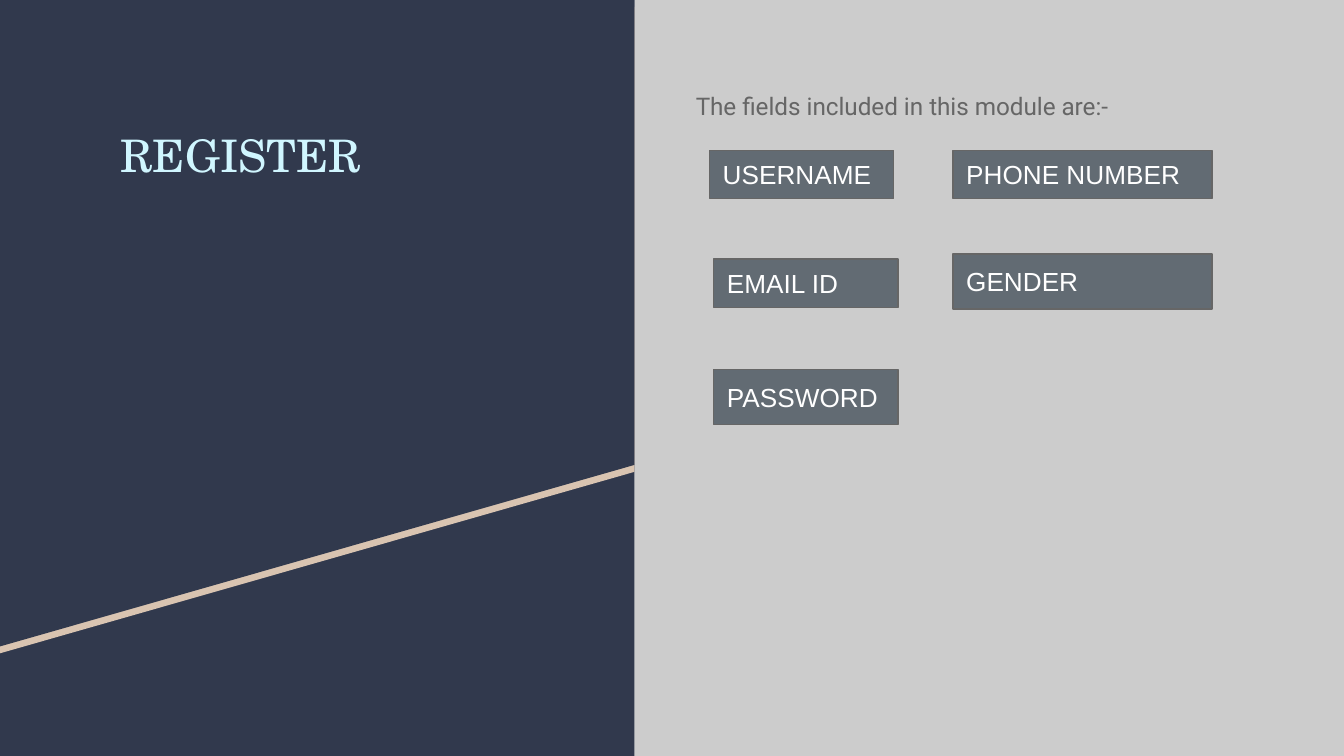
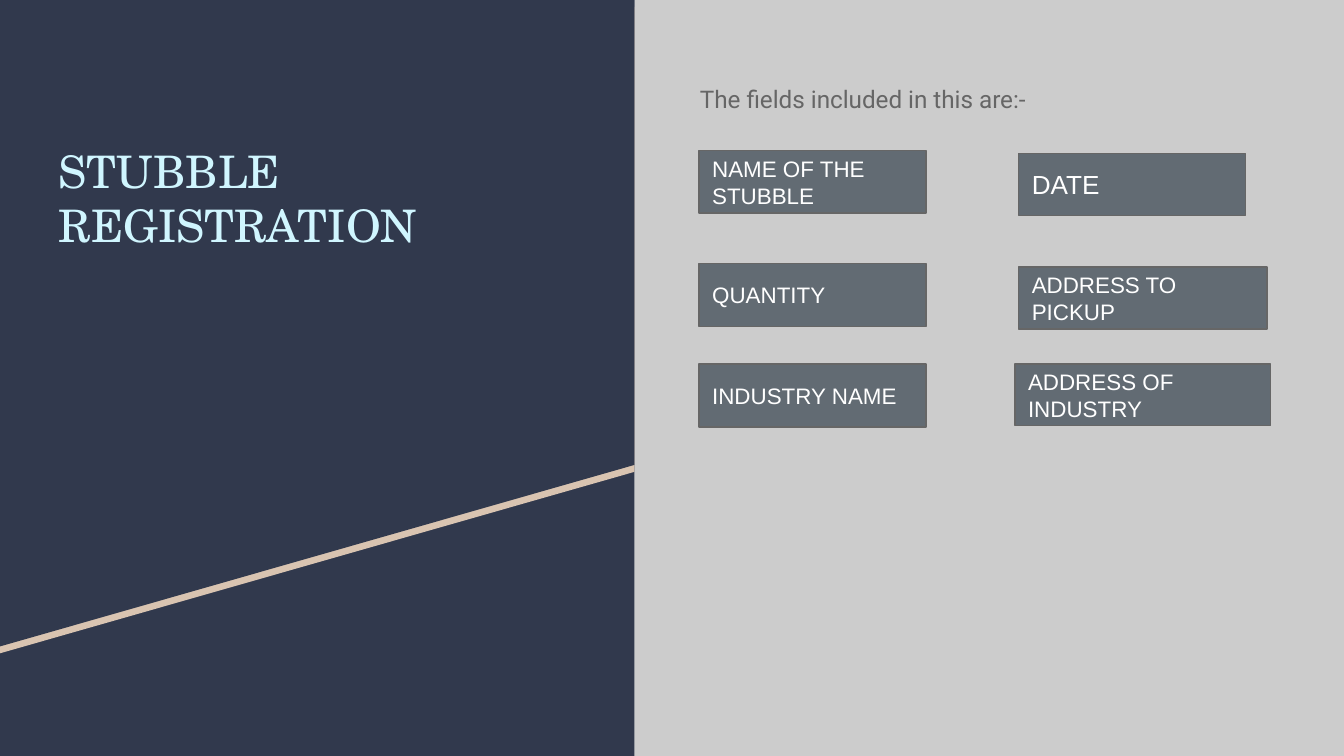
from pptx import Presentation
from pptx.dml.color import RGBColor
from pptx.enum.shapes import MSO_SHAPE
from pptx.enum.text import MSO_ANCHOR, PP_ALIGN
from pptx.util import Cm, Pt

NAVY = RGBColor(0x31, 0x39, 0x4D)
SAND = RGBColor(0xD9, 0xC4, 0xB1)
PALE = RGBColor(0xCC, 0xCC, 0xCC)
ICE = RGBColor(0xD0, 0xF6, 0xFF)
SLATE = RGBColor(0x62, 0x6B, 0x73)
GREY = RGBColor(0x66, 0x66, 0x66)
WHITE = RGBColor(0xFF, 0xFF, 0xFF)

WIDE, HIGH = 25.4, 14.29
PANEL = (0, 0, 11.99, HIGH)
TITLE = (0.86, 1.4, 10.29, 6.96)
INSET = 0.25


def paint(shape, color):
    shape.shadow.inherit = False
    shape.fill.solid()
    shape.fill.fore_color.rgb = color
    shape.line.fill.background()


def write(shape, text, font, size, color, left=INSET, top=INSET):
    frame = shape.text_frame
    frame.word_wrap = True
    frame.margin_left, frame.margin_top = Cm(left), Cm(top)
    frame.margin_right = frame.margin_bottom = Cm(INSET)
    frame.text = text
    para = frame.paragraphs[0]
    para.alignment = PP_ALIGN.LEFT
    face = para.runs[0].font
    face.name, face.size = font, Pt(size)
    face.color.rgb = color
    return para


def add_text(slide, box, *style, **inset):
    return write(slide.shapes.add_textbox(*map(Cm, box)), *style, **inset)


def add_wedge(slide, box, drop, color):
    left, top, width, _ = box
    top += drop
    right = left + width
    edge = [(right, top), (right, top + 8.79), (left, top + 12.22)]
    form = slide.shapes.build_freeform(Cm(left), Cm(top))
    form.add_line_segments([(Cm(x), Cm(y)) for x, y in edge], close=True)
    paint(form.convert_to_shape(), color)


def add_panel(slide, box):
    base = slide.shapes.add_shape(MSO_SHAPE.RECTANGLE, *map(Cm, box))
    paint(base, NAVY)
    add_wedge(slide, box, 0.13, SAND)
    add_wedge(slide, box, 0, NAVY)


def add_field(slide, box, text, size):
    field = slide.shapes.add_shape(MSO_SHAPE.RECTANGLE, *map(Cm, box))
    paint(field, SLATE)
    field.line.color.rgb = GREY
    field.line.width = Pt(0.75)
    field.text_frame.vertical_anchor = MSO_ANCHOR.MIDDLE
    write(field, text, "Arial", size, WHITE)


def add_body(slide, box, intro, fields):
    para = add_text(slide, box, intro, "Roboto", 13, GREY)
    para.line_spacing = 1.15
    for text, size, x, y, width, height in fields:
        place = (box[0] + x, box[1] + y, width, height)
        add_field(slide, place, text, size)


def add_module(deck, title, left, top, box, intro, fields):
    slide = deck.slides.add_slide(deck.slide_layouts[6])
    slide.background.fill.solid()
    slide.background.fill.fore_color.rgb = PALE
    add_panel(slide, PANEL)
    add_text(slide, TITLE, title, "TeX Gyre Schola", 24, ICE, left=left, top=top)
    add_body(slide, box, intro, fields)


def main():
    deck = Presentation()
    deck.slide_width, deck.slide_height = Cm(WIDE), Cm(HIGH)
    add_module(
        deck, "REGISTER", 1.42, 1.27, (12.9, 1.4, 11.58, 11.38),
        "The fields included in this module are:-",
        [
            ("USERNAME", 14, 0.51, 1.44, 3.48, 0.91),
            ("PHONE NUMBER", 14, 5.11, 1.44, 4.9, 0.91),
            ("EMAIL ID", 14, 0.59, 3.5, 3.48, 0.91),
            ("GENDER", 14, 5.11, 3.4, 4.9, 1.04),
            ("PASSWORD", 14, 0.59, 5.59, 3.48, 1.04),
        ],
    )
    add_module(
        deck, "STUBBLE REGISTRATION", INSET, 1.32, (12.98, 1.27, 11.58, 11.38),
        "The fields included in this are:-",
        [
            ("NAME OF THE STUBBLE", 12, 0.23, 1.57, 4.29, 1.19),
            ("DATE", 14, 6.27, 1.63, 4.29, 1.17),
            ("QUANTITY", 12, 0.23, 3.71, 4.29, 1.19),
            ("ADDRESS TO PICKUP", 12, 6.27, 3.78, 4.7, 1.17),
            ("INDUSTRY NAME", 12, 0.23, 5.61, 4.29, 1.19),
            ("ADDRESS OF INDUSTRY", 12, 6.2, 5.61, 4.83, 1.17),
        ],
    )
    deck.save("out.pptx")


if __name__ == "__main__":
    main()
